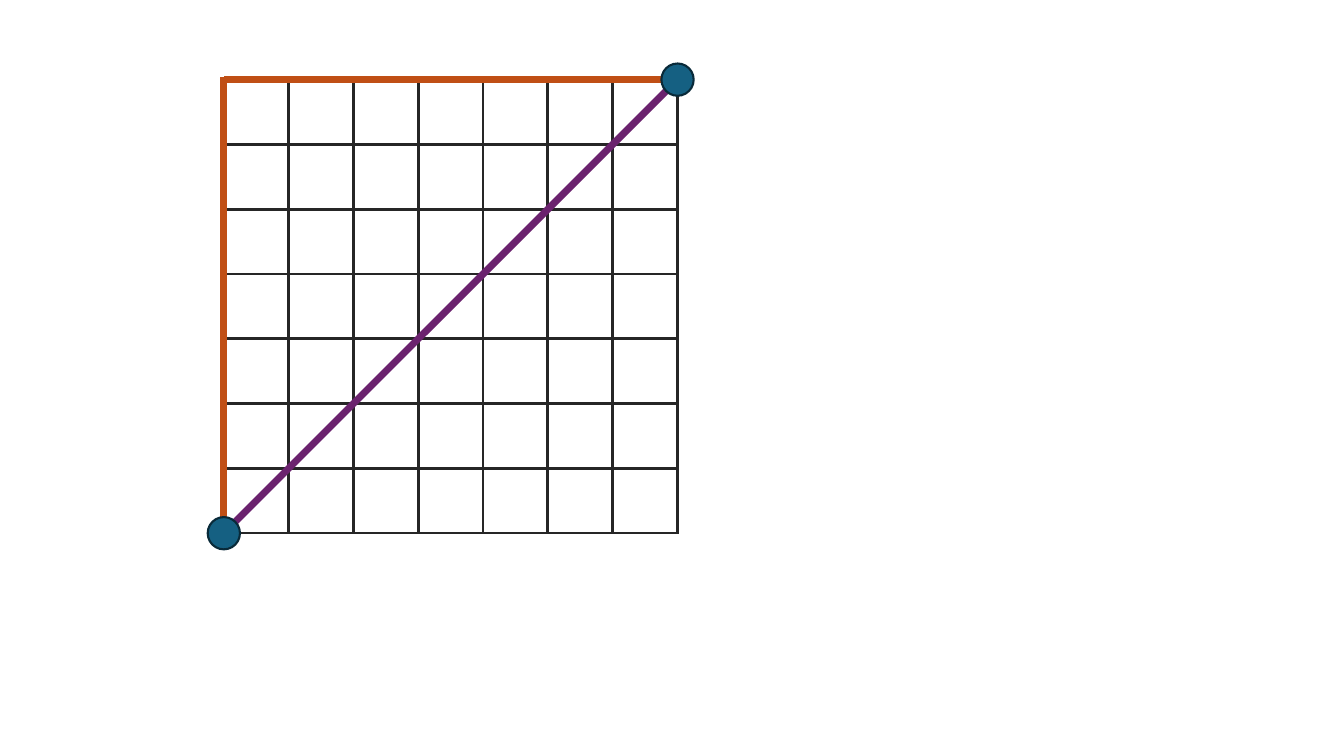
from lxml.etree import SubElement
from pptx import Presentation
from pptx.dml.color import RGBColor
from pptx.enum.shapes import MSO_CONNECTOR as Link, MSO_SHAPE as Shape
from pptx.oxml import parse_xml
from pptx.oxml.ns import nsdecls, qn
from pptx.util import Inches, Pt


def paint(line, color, width):
    line.color.rgb = RGBColor.from_string(color)
    line.width = Pt(width)


deck = Presentation()
deck.slide_width = Inches(13.33)
deck.slide_height = Inches(7.5)
slide = deck.slides.add_slide(deck.slide_layouts[6])
shapes = slide.shapes

count = 7
left, top, side = 2.22, 0.79, 4.5
right, bottom = left + side, top + side

frame = shapes.add_table(count, count, Inches(left), Inches(top), Inches(side), Inches(side))
grid = frame.table
grid.first_row = False
grid.horz_banding = False
for col in grid.columns:
    col.width = Inches(side / count)
for row in grid.rows:
    row.height = Inches(side / count)
for cell in grid.iter_cells():
    props = cell._tc.get_or_add_tcPr()
    for edge in ("lnL", "lnR", "lnT", "lnB"):
        props.append(parse_xml(
            f'<a:{edge} {nsdecls("a")} w="{Pt(2.25)}"><a:solidFill>'
            f'<a:srgbClr val="262626"/></a:solidFill></a:{edge}>'))
    cell.fill.background()

size = 0.32
routes = [
    (left, bottom, right, top, "6B226E"),
    (left, bottom, left, top - 0.03, "C04F15"),
    (right - size / 2, top, left, top, "C04F15"),
]
for x1, y1, x2, y2, color in routes:
    route = shapes.add_connector(Link.STRAIGHT, Inches(x1), Inches(y1), Inches(x2), Inches(y2))
    paint(route.line, color, 5)
    SubElement(route._element.spPr, qn("a:effectLst"))

for x, y in [(right, top), (left, bottom)]:
    dot = shapes.add_shape(Shape.OVAL, Inches(x - size / 2), Inches(y - size / 2),
                           Inches(size), Inches(size))
    dot.shadow.inherit = False
    dot.fill.solid()
    dot.fill.fore_color.rgb = RGBColor.from_string("156082")
    paint(dot.line, "092A39", 1.5)

deck.save("out.pptx")
